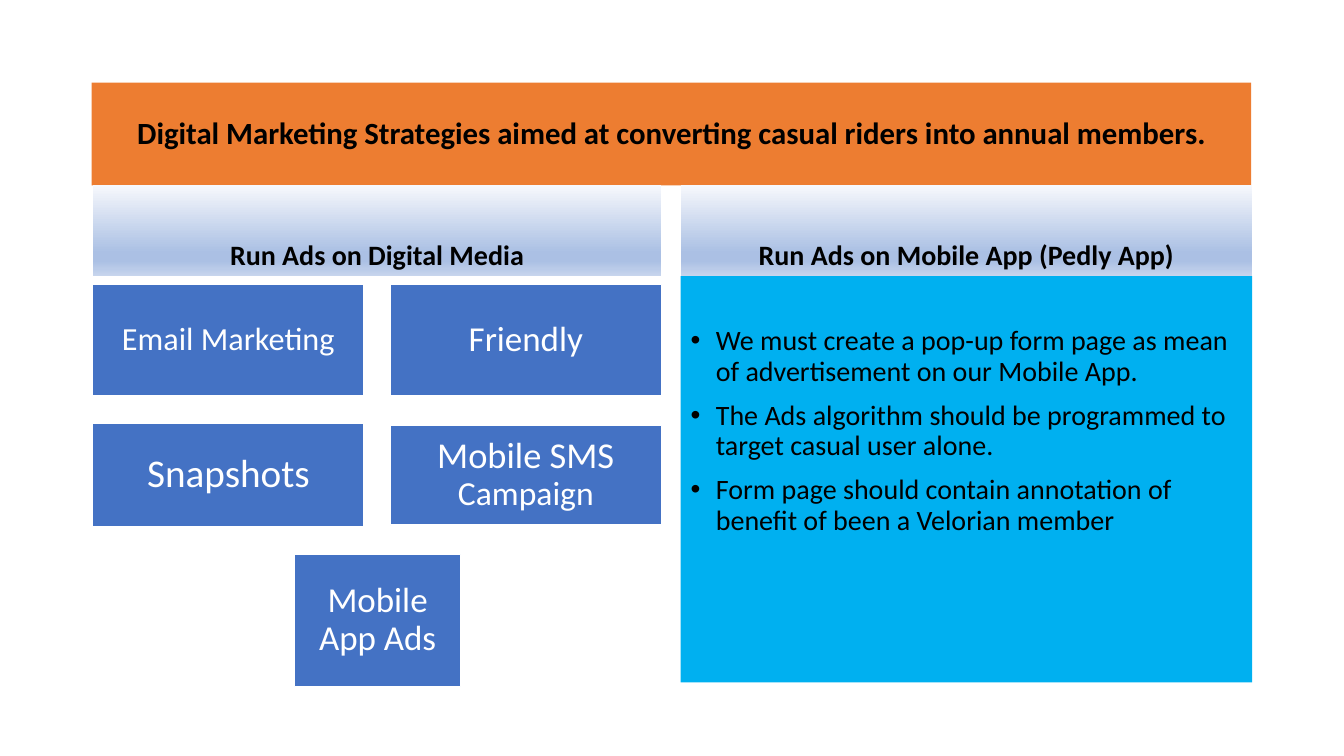
from lxml import etree
from pptx import Presentation
from pptx.dml.color import RGBColor
from pptx.enum.shapes import MSO_SHAPE
from pptx.enum.text import MSO_ANCHOR, MSO_AUTO_SIZE, PP_ALIGN
from pptx.oxml.ns import qn
from pptx.util import Inches, Pt

RECTANGLE = MSO_SHAPE.RECTANGLE
CENTER, LEFT = PP_ALIGN.CENTER, PP_ALIGN.LEFT
TOP, MIDDLE, BOTTOM = MSO_ANCHOR.TOP, MSO_ANCHOR.MIDDLE, MSO_ANCHOR.BOTTOM
FIXED = MSO_AUTO_SIZE.NONE

COLORS = {
    "banner": "ED7D31", "card": "4472C4", "panel": "00B0F0",
    "ink": "000000", "white": "FFFFFF",
}
HEADING_STOPS = [(0, "F6F8FC"), (74, "ABC0E4"), (83, "ABC0E4"), (100, "C7D5ED")]


def color(name):
    return RGBColor.from_string(COLORS[name])


def write(shape, box, paragraphs, ink="ink", bold=False, align=CENTER,
          anchor=MIDDLE, before=0, inset=None):
    """Place a shape and fill it with paragraphs, each a list of (text, size) runs."""
    shape.left, shape.top, shape.width, shape.height = map(Inches, box)
    frame = shape.text_frame
    frame.auto_size, frame.word_wrap = FIXED, True
    frame.vertical_anchor = anchor
    if inset is not None:
        frame.margin_left = frame.margin_right = Inches(inset)
        frame.margin_top = frame.margin_bottom = Inches(inset)
    for index, runs in enumerate(paragraphs):
        paragraph = frame.add_paragraph() if index else frame.paragraphs[0]
        paragraph.alignment, paragraph.line_spacing = align, 0.9
        paragraph.space_before = Pt(before if index else 0)
        for text, size in runs:
            run = paragraph.add_run()
            run.text = text
            run.font.name, run.font.size, run.font.bold = "Calibri", Pt(size), bold
            run.font.color.rgb = color(ink)


prs = Presentation()
prs.slide_width, prs.slide_height = Inches(13.33), Inches(7.5)
slide = prs.slides.add_slide(prs.slide_layouts[4])
parts = {part.placeholder_format.idx: part for part in slide.placeholders}

# Banner
banner = parts[0]
banner.fill.solid()
banner.fill.fore_color.rgb = color("banner")
write(banner, (0.91, 0.82, 11.5, 1.02), [[(
    "Digital Marketing Strategies aimed at converting casual riders into annual members.",
    22)]], bold=True)

# Column headings
media_left, app_left, app_width = 0.92, 6.75, 5.67
heading_top, heading_height = 1.84, 0.9
headings = [
    (1, media_left, 5.64, "Run Ads on Digital Media"),
    (3, app_left, app_width, "Run Ads on Mobile App (Pedly App)"),
]
for idx, left, width, text in headings:
    heading = parts[idx]
    heading.fill.gradient()
    heading.fill.gradient_angle = 270
    stop_list = heading.fill._fill._gradFill.find(qn("a:gsLst"))
    for stop in list(stop_list):
        stop_list.remove(stop)
    for position, shade in HEADING_STOPS:
        stop = etree.SubElement(stop_list, qn("a:gs"), pos=str(position * 1000))
        etree.SubElement(stop, qn("a:srgbClr"), val=shade)
    write(heading, (left, heading_top, width, heading_height), [[(text, 20)]],
          bold=True, anchor=BOTTOM)

# Media channels
card_width, column_pitch = 2.69, 2.95
right_left = media_left + column_pitch
channels = [
    ((media_left, 2.82, card_width, 1.11), 0.1, [("Email Marketing", 23)]),
    ((right_left, 2.82, card_width, 1.11), 0.1, [("Friendly", 25)]),
    ((media_left, 4.2, card_width, 1.03), 0.12, [("Snapshots", 28)]),
    ((right_left, 4.22, card_width, 0.99), 0.11, [("Mobile SMS ", 26), ("Campaign", 24)]),
    ((2.92, 5.5, 1.65, 1.31), 0.1, [("Mobile App Ads", 25)]),
]
for box, inset, label in channels:
    card = slide.shapes.add_shape(RECTANGLE, *map(Inches, box))
    card.shadow.inherit = False
    card.fill.solid()
    card.fill.fore_color.rgb = color("card")
    card.line.color.rgb = color("white")
    card.line.width = Pt(1)
    write(card, box, [label], ink="white", inset=inset)

# Mobile app plan
plan = parts[4]
plan.fill.solid()
plan.fill.fore_color.rgb = color("panel")
steps = [
    "We must create a pop-up form page as mean of advertisement on our Mobile App.",
    "The Ads algorithm should be programmed to target casual user alone.",
    "Form page should contain annotation of benefit of been a Velorian member",
]
write(plan, (app_left, heading_top + heading_height, app_width, 4.03),
      [[(step, 20)] for step in steps], align=LEFT, anchor=TOP, before=10)
plan.text_frame.margin_top = Inches(0.5)
for paragraph in plan.text_frame.paragraphs:
    properties = paragraph._p.get_or_add_pPr()
    properties.set("marL", str(Inches(0.25)))
    properties.set("indent", str(-Inches(0.25)))
    etree.SubElement(properties, qn("a:buFont"), typeface="Arial")
    etree.SubElement(properties, qn("a:buChar"), char="•")

unused = parts[2].element
unused.getparent().remove(unused)

prs.save("out.pptx")
